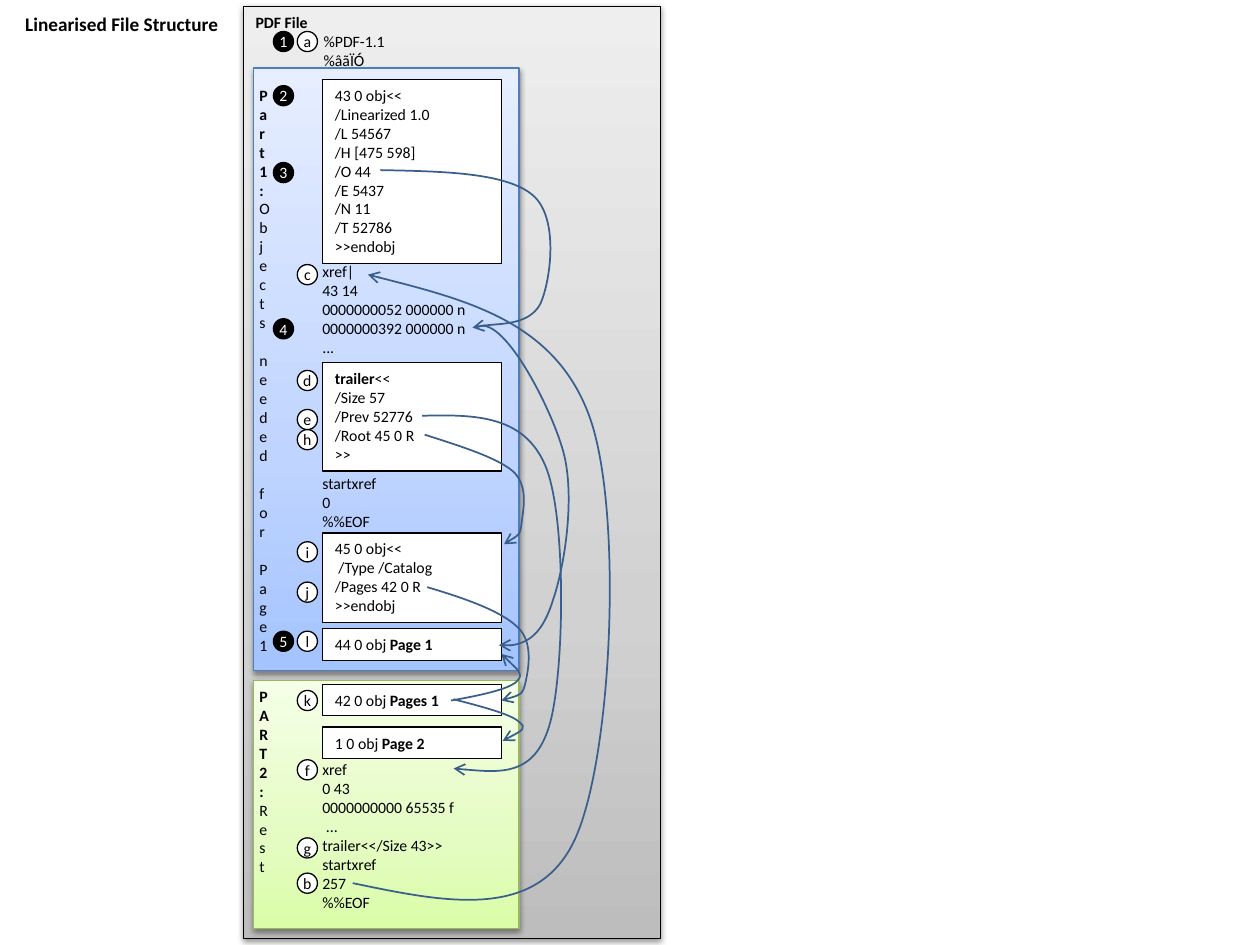
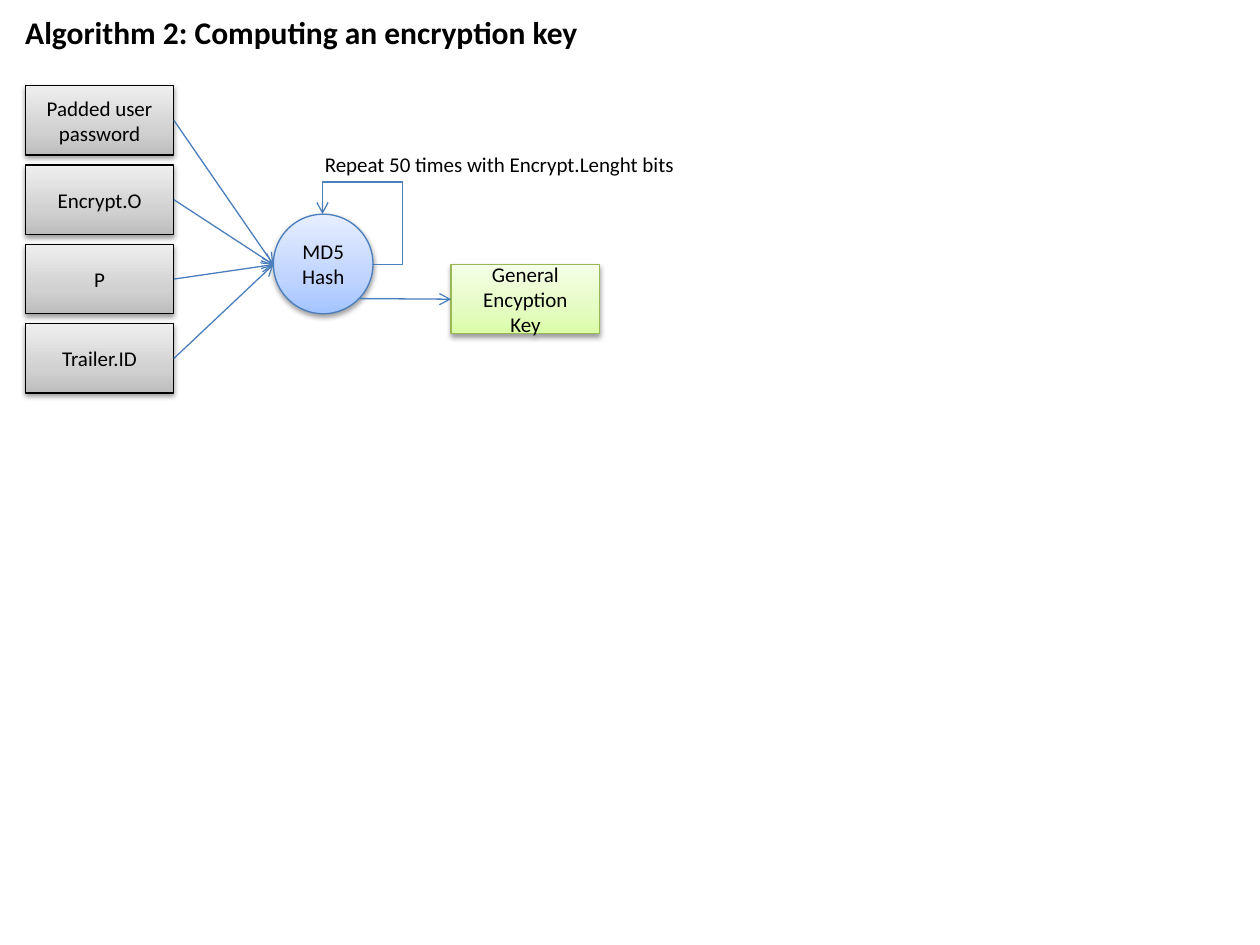
"""Build two slides: a linearised PDF file map and an encryption key algorithm."""
import copy
from dataclasses import dataclass

import pptx
import pptx.dml.color
import pptx.enum.shapes
import pptx.enum.text
import pptx.oxml.ns
import pptx.oxml.xmlchemy
import pptx.util

Inches = pptx.util.Inches
Pt = pptx.util.Pt
SHAPE = pptx.enum.shapes.MSO_SHAPE
CONNECTOR = pptx.enum.shapes.MSO_CONNECTOR
ALIGN = pptx.enum.text.PP_ALIGN
ANCHOR = pptx.enum.text.MSO_ANCHOR
qn = pptx.oxml.ns.qn

FONT = "Calibri"
COLORS = {
    "black": "000000",
    "white": "FFFFFF",
    "curve": "3A5F8C",
    "blue_line": "4B7EBC",
    "green_line": "98B955",
}
GRADIENTS = {
    "gray": ("BDBDBD", "D1D1D1", "EEEEEE"),
    "green": ("DAFDA7", "E4FCC2", "F5FFE7"),
    "blue": ("A4C4FF", "BFD4FF", "E6EEFF"),
}
GRADIENT_POSITIONS = (0, 0.35, 1)
BADGE_SIZE = 0.16
LINE_PITCH = 11


@dataclass(frozen=True)
class Area:
    left: float
    top: float
    width: float
    height: float

    def lengths(self) -> list:
        return [Inches(value) for value in (self.left, self.top, self.width, self.height)]


@dataclass(frozen=True)
class Block:
    top: float
    height: float
    text: str


@dataclass(frozen=True)
class Curve:
    start: tuple
    segments: tuple


OBJECT_BOXES = (
    Block(2.88, 0.86, "*trailer*<<\n/Size 57\n/Prev 52776\n/Root 45 0 R\n>>"),
    Block(0.63, 1.46, "43 0 obj<<\n/Linearized 1.0\n/L 54567\n/H [475 598]\n/O 44\n"
                      "/E 5437\n/N 11\n/T 52786\n>>endobj"),
    Block(4.23, 0.71, "45 0 obj<<\n /Type /Catalog\n/Pages 42 0 R\n>>endobj"),
    Block(4.99, 0.25, "44 0 obj *Page 1*"),
    Block(5.43, 0.25, "42 0 obj *Pages 1*"),
    Block(5.77, 0.25, "1 0 obj *Page 2*"),
)
PLAIN_BLOCKS = (
    Block(2.03, 0.86, "xref|\n43 14\n0000000052 000000 n\n0000000392 000000 n\n..."),
    Block(3.71, 0.56, "startxref\n0\n%%EOF"),
    Block(5.98, 1.31, "xref\n0 43\n0000000000 65535 f\n ...\ntrailer<</Size 43>>\n"
                      "startxref\n257\n%%EOF"),
)
NUMBER_BADGES = {"1": 0.25, "2": 0.68, "3": 1.29, "4": 2.53, "5": 5.01}
LETTER_BADGES = {
    "a": 0.25, "b": 6.93, "c": 2.1, "d": 2.94, "e": 3.25, "f": 6.03, "g": 6.65,
    "h": 3.41, "i": 4.3, "j": 4.62, "k": 5.48, "l": 5.01,
}
REFERENCES = (
    Curve((3.02, 1.35), (((3.52, 1.36), (4.02, 1.37), (4.23, 1.55)),
                         ((4.44, 1.73), (4.37, 2.23), (4.29, 2.41)),
                         ((4.2, 2.58), (3.84, 2.57), (3.75, 2.6)))),
    Curve((3.78, 2.6), (((3.98, 2.47), (4.37, 3.22), (4.47, 3.58)),
                        ((4.57, 3.94), (4.48, 4.5), (4.39, 4.76)),
                        ((4.31, 5.02), (4.15, 5.15), (3.96, 5.12)))),
    Curve((3.35, 3.3), (((3.76, 3.29), (4.16, 3.29), (4.33, 3.7)),
                        ((4.5, 4.11), (4.48, 5.36), (4.36, 5.76)),
                        ((4.24, 6.16), (3.92, 6.13), (3.6, 6.1)))),
    Curve((2.8, 7.01), (((3.52, 7.16), (4.24, 7.31), (4.55, 6.69)),
                        ((4.86, 6.07), (4.95, 4.06), (4.68, 3.31)),
                        ((4.41, 2.56), (3.67, 2.37), (2.92, 2.18)))),
    Curve((3.37, 3.45), (((3.65, 3.54), (3.94, 3.63), (4.07, 3.74)),
                         ((4.2, 3.86), (4.15, 4.05), (4.14, 4.15)),
                         ((4.13, 4.25), (4.07, 4.28), (4, 4.32)))),
    Curve((3.39, 4.66), (((3.69, 4.75), (3.98, 4.85), (4.11, 4.98)),
                         ((4.24, 5.1), (4.19, 5.33), (4.17, 5.42)),
                         ((4.15, 5.52), (4.06, 5.54), (3.98, 5.56)))),
    Curve((3.58, 5.56), (((3.81, 5.52), (4.04, 5.47), (4.1, 5.41)),
                         ((4.17, 5.35), (3.98, 5.19), (3.98, 5.19)))),
    Curve((3.6, 5.55), (((3.83, 5.61), (4.06, 5.67), (4.12, 5.73)),
                        ((4.19, 5.78), (4.09, 5.83), (3.99, 5.88)))),
)
KEY_INPUTS = ("Padded user password", "Encrypt.O", "P", "Trailer.ID")


def rgb(name: str):
    return pptx.dml.color.RGBColor.from_string(COLORS.get(name, name))


def add_child(parent, tag: str, **attributes):
    child = pptx.oxml.xmlchemy.OxmlElement(tag)
    for name, value in attributes.items():
        child.set(name, str(value))
    parent.append(child)
    return child


def write_text(shape, text: str, *, size=9, color="black", align=ALIGN.LEFT,
               anchor=ANCHOR.TOP, wrap=True, inset=None) -> None:
    """Write one paragraph per line, with the parts between asterisks in bold."""
    frame = shape.text_frame
    frame.word_wrap = wrap
    frame.vertical_anchor = anchor
    frame.auto_size = pptx.enum.text.MSO_AUTO_SIZE.NONE
    if inset is not None:
        frame.margin_left = frame.margin_right = Inches(inset)
        frame.margin_top = frame.margin_bottom = Inches(inset)
    for index, line in enumerate(text.split("\n")):
        paragraph = frame.add_paragraph() if index else frame.paragraphs[0]
        paragraph.alignment = align
        for part_index, part in enumerate(line.split("*")):
            if part:
                run = paragraph.add_run()
                run.text = part
                run.font.name = FONT
                run.font.size = Pt(size)
                run.font.bold = part_index % 2 == 1
                run.font.color.rgb = rgb(color)


def add_box(slide, kind, area: Area, *, fill: str, line="black"):
    """Draw a flat shape, or a shaded one with a shadow when the fill is a gradient."""
    shape = slide.shapes.add_shape(kind, *area.lengths())
    shape.shadow.inherit = False
    shape.line.color.rgb = rgb(line)
    shape.line.width = Pt(0.75)
    if fill not in GRADIENTS:
        shape.fill.solid()
        shape.fill.fore_color.rgb = rgb(fill)
        return shape
    shape.fill.gradient()
    shape.fill.gradient_angle = 90
    stop_list = shape.element.spPr.find(".//" + qn("a:gsLst"))
    stop_list.insert(1, copy.deepcopy(stop_list[0]))
    for stop, position, color in zip(shape.fill.gradient_stops, GRADIENT_POSITIONS, GRADIENTS[fill]):
        stop.position = position
        stop.color.rgb = rgb(color)
    effects = shape.element.spPr.find(qn("a:effectLst"))
    shadow = add_child(effects, "a:outerShdw", blurRad=Pt(3.1), dist=Pt(1.6),
                       dir=5400000, rotWithShape=0)
    shadow_color = add_child(shadow, "a:srgbClr", val=COLORS["black"])
    add_child(shadow_color, "a:alpha", val=38000)
    return shape


def add_text_box(slide, area: Area, text: str, **text_format):
    box = slide.shapes.add_textbox(*area.lengths())
    write_text(box, text, **text_format)
    return box


def add_vertical_label(slide, area: Area, heading: str, rest: str) -> None:
    """Stack letters downwards, leaving one line of space between words."""
    letters = [f"*{letter}*" for letter in heading] + list(rest.replace(" ", ""))
    paragraphs = add_text_box(slide, area, "\n".join(letters)).text_frame.paragraphs
    word_start = len(heading)
    for word in rest.split()[:-1]:
        word_start += len(word)
        paragraphs[word_start].space_before = Pt(LINE_PITCH)


def add_badge(slide, left: float, top: float, text: str, fill: str, color: str) -> None:
    badge = add_box(slide, SHAPE.OVAL, Area(left, top, BADGE_SIZE, BADGE_SIZE), fill=fill)
    write_text(badge, text, color=color, align=ALIGN.CENTER, anchor=ANCHOR.MIDDLE,
               wrap=False, inset=0)


def style_arrow(shape, color: str, width: float) -> None:
    shape.line.color.rgb = rgb(color)
    shape.line.width = Pt(width)
    add_child(shape.element.spPr.find(qn("a:ln")), "a:tailEnd", type="arrow")


def bezier_point(points: tuple, t: float) -> tuple:
    weights = ((1 - t) ** 3, 3 * t * (1 - t) ** 2, 3 * t ** 2 * (1 - t), t ** 3)
    return tuple(Inches(sum(w * p[axis] for w, p in zip(weights, points))) for axis in (0, 1))


def add_curve(slide, curve: Curve) -> None:
    """Size a freeform from sampled points, then give it true cubic segments."""
    start, outline = curve.start, []
    for segment in curve.segments:
        outline += [bezier_point((start, *segment), step / 20) for step in range(1, 21)]
        start = segment[-1]
    builder = slide.shapes.build_freeform(*[Inches(value) for value in curve.start])
    builder.add_line_segments(outline, close=False)
    shape = builder.convert_to_shape()
    route = shape.element.spPr.find(".//" + qn("a:path"))
    for line in route.findall(qn("a:lnTo")):
        route.remove(line)
    for segment in curve.segments:
        cubic = add_child(route, "a:cubicBezTo")
        for x, y in segment:
            add_child(cubic, "a:pt", x=Inches(x) - shape.left, y=Inches(y) - shape.top)
    shape.fill.background()
    shape.shadow.inherit = False
    style_arrow(shape, "curve", 1)


def add_arrow(slide, start: tuple, end: tuple, kind=CONNECTOR.STRAIGHT):
    connector = slide.shapes.add_connector(kind, *[Inches(value) for value in (*start, *end)])
    style_arrow(connector, "blue_line", 0.75)
    add_child(connector.element.spPr, "a:effectLst")
    return connector


def add_repeat_loop(slide, circle) -> None:
    """Loop from the right of the circle back to its top."""
    loop = add_arrow(slide, (2.95, 2.1), (2.56, 1.7), CONNECTOR.ELBOW)
    geometry = loop.element.spPr.find(qn("a:prstGeom"))
    geometry.set("prst", "bentConnector4")
    adjustments = geometry.find(qn("a:avLst"))
    for name, value in (("adj1", -63500), ("adj2", 163500)):
        add_child(adjustments, "a:gd", name=name, fmla=f"val {value}")
    joints = loop.element.find(".//" + qn("p:cNvCxnSpPr"))
    add_child(joints, "a:stCxn", id=circle.shape_id, idx=6)
    add_child(joints, "a:endCxn", id=circle.shape_id, idx=0)


def add_titled_slide(presentation, text: str, area: Area, size: float):
    slide = presentation.slides.add_slide(presentation.slide_layouts[5])
    title = slide.shapes.title
    title.left, title.top, title.width, title.height = area.lengths()
    write_text(title, f"*{text}*", size=size, wrap=False)
    return slide


def build_file_structure(presentation) -> None:
    slide = add_titled_slide(presentation, "Linearised File Structure", Area(0.1, 0.05, 1.75, 0.29), 11)
    file_panel = add_box(slide, SHAPE.RECTANGLE, Area(1.93, 0.05, 3.31, 7.4), fill="gray")
    write_text(file_panel, "*PDF File*\n%PDF-1.1\n%âãÏÓ")
    for paragraph in file_panel.text_frame.paragraphs[1:]:
        paragraph._p.get_or_add_pPr().set("marL", str(Inches(0.54)))
    add_box(slide, SHAPE.RECTANGLE, Area(2.01, 5.4, 2.11, 1.97), fill="green", line="green_line")
    add_box(slide, SHAPE.RECTANGLE, Area(2.01, 0.54, 2.11, 4.78), fill="blue", line="blue_line")
    for block in OBJECT_BOXES:
        box = add_box(slide, SHAPE.RECTANGLE, Area(2.56, block.top, 1.42, block.height), fill="white")
        write_text(box, block.text)
    for block in PLAIN_BLOCKS:
        add_text_box(slide, Area(2.46, block.top, 2.03, block.height), block.text)
    add_vertical_label(slide, Area(1.96, 0.63, 0.31, 4.8), "Part1:", "Objects needed for Page1")
    add_vertical_label(slide, Area(1.96, 5.4, 0.31, 1.62), "PART2:", "Rest")
    for text, top in NUMBER_BADGES.items():
        add_badge(slide, 2.17, top, text, "black", "white")
    for text, top in LETTER_BADGES.items():
        add_badge(slide, 2.36, top, text, "white", "black")
    for curve in REFERENCES:
        add_curve(slide, curve)


def build_key_algorithm(presentation) -> None:
    slide = add_titled_slide(presentation, "Algorithm 2: Computing an encryption key",
                             Area(0.1, 0.05, 4.63, 0.4), 18)
    centred = {"size": 12, "align": ALIGN.CENTER, "anchor": ANCHOR.MIDDLE}
    circle = add_box(slide, SHAPE.OVAL, Area(2.17, 1.7, 0.79, 0.79), fill="blue", line="blue_line")
    write_text(circle, "MD5\nHash", **centred)
    for index, text in enumerate(KEY_INPUTS):
        top = 0.68 + 0.63 * index
        box = add_box(slide, SHAPE.RECTANGLE, Area(0.2, top, 1.18, 0.55), fill="gray")
        write_text(box, text, **centred)
        add_arrow(slide, (1.38, top + 0.28), (2.17, 2.1)).begin_connect(box, 3)
    add_repeat_loop(slide, circle)
    add_text_box(slide, Area(2.48, 1.15, 3, 0.3), "Repeat 50 times with Encrypt.Lenght bits",
                 size=12, wrap=False)
    key = add_box(slide, SHAPE.RECTANGLE, Area(3.58, 2.1, 1.18, 0.55), fill="green", line="green_line")
    write_text(key, "General\nEncyption\nKey", **centred)
    add_arrow(slide, (2.84, 2.37), (3.58, 2.37)).end_connect(key, 1)


def main() -> None:
    presentation = pptx.Presentation()
    presentation.slide_width = Inches(10)
    presentation.slide_height = Inches(7.5)
    build_file_structure(presentation)
    build_key_algorithm(presentation)
    presentation.save("out.pptx")


if __name__ == "__main__":
    main()
